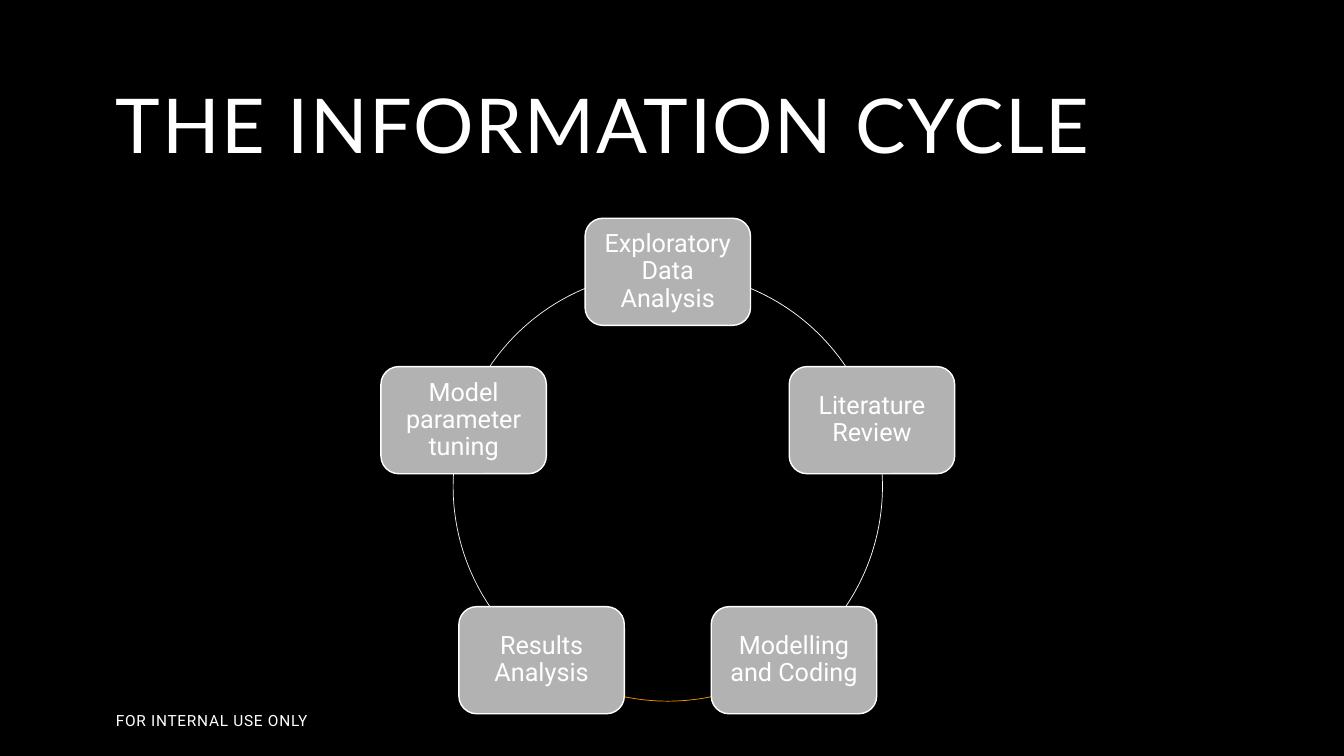
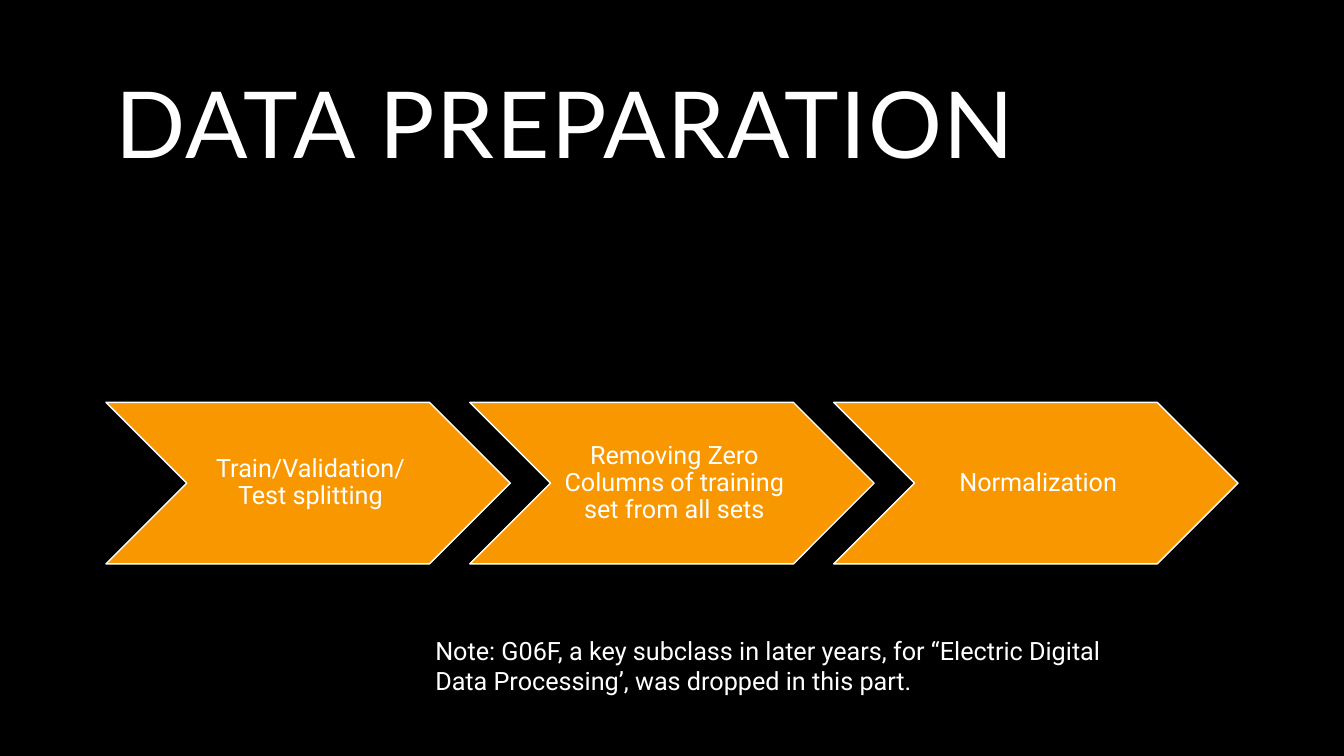
import math
from pptx import Presentation
from pptx.dml.color import RGBColor
from pptx.enum import shapes, text
from pptx.util import Cm, Pt

WHITE, BLACK, GREY, ORANGE, PALE = "FFFFFF", "000000", "B2B2B2", "F99700", "F2F2F2"
LEFT, CENTER, JUSTIFY = text.PP_ALIGN.LEFT, text.PP_ALIGN.CENTER, text.PP_ALIGN.JUSTIFY
TOP, MIDDLE = text.MSO_ANCHOR.TOP, text.MSO_ANCHOR.MIDDLE


def paint(target, color):
    if hasattr(target, "solid"):
        target.solid()
        target.fore_color.rgb = RGBColor.from_string(color)
    else:
        target.color.rgb = RGBColor.from_string(color)


def write(shape, words, size=18, font="Roboto", align=CENTER, anchor=MIDDLE,
          line_spacing=0.9, tracking=0, insets=(0.25, 0.13, 0.25, 0.13)):
    frame = shape.text_frame
    frame.word_wrap = True
    frame.vertical_anchor = anchor
    frame.margin_left, frame.margin_top, frame.margin_right, frame.margin_bottom = map(Cm, insets)
    paragraph = frame.paragraphs[0]
    paragraph.alignment = align
    paragraph.line_spacing = line_spacing
    run = paragraph.add_run()
    run.text = words
    run.font.size = Pt(size)
    run.font.name = font
    paint(run.font, WHITE)
    if tracking:
        run.font._element.set("spc", str(round(tracking * 100)))


prs = Presentation()
prs.slide_width, prs.slide_height = Cm(33.87), Cm(19.05)

pages = []
for heading, size, align in [("THE INFORMATION CYCLE", 54, JUSTIFY), ("DATA PREPARATION", 66, LEFT)]:
    page = prs.slides.add_slide(prs.slide_layouts[6])
    paint(page.background.fill, BLACK)
    title = page.shapes.add_textbox(Cm(2.67), Cm(0.89), Cm(28.52), Cm(4.72))
    write(title, heading, size=size, font="Lato", align=align, tracking=1.2)
    pages.append(page)
cycle, preparation = pages

footer = cycle.shapes.add_textbox(Cm(2.67), Cm(17.65), Cm(8.99), Cm(1.02))
write(footer, "FOR INTERNAL USE ONLY", size=11, align=LEFT, line_spacing=1, tracking=0.5)

stages = [
    ("Exploratory Data Analysis", WHITE),
    ("Literature Review", WHITE),
    ("Modelling and Coding", ORANGE),
    ("Results Analysis", PALE),
    ("Model parameter tuning", PALE),
]
center_x, center_y, radius = 16.83, 12.26, 5.41
stage_w, stage_h = 4.17, 2.7
step = 360 / len(stages)

for index, (label, arc_color) in enumerate(stages):
    start = 270 + index * step
    arc = cycle.shapes.add_shape(shapes.MSO_SHAPE.ARC, Cm(center_x - radius), Cm(center_y - radius),
                                 Cm(2 * radius), Cm(2 * radius))
    arc.shadow.inherit = False
    arc.adjustments[0] = start % 360 * 0.6
    arc.adjustments[1] = (start + step) % 360 * 0.6
    arc.fill.background()
    paint(arc.line, arc_color)
    arc.line.width = Pt(0.5)

for index, (label, arc_color) in enumerate(stages):
    angle = math.radians(270 + index * step)
    stage = cycle.shapes.add_shape(
        shapes.MSO_SHAPE.ROUNDED_RECTANGLE,
        Cm(center_x + radius * math.cos(angle) - stage_w / 2),
        Cm(center_y + radius * math.sin(angle) - stage_h / 2),
        Cm(stage_w), Cm(stage_h))
    stage.shadow.inherit = False
    paint(stage.fill, GREY)
    paint(stage.line, WHITE)
    stage.line.width = Pt(1)
    write(stage, label, insets=(0.18,) * 4)

steps = [
    "Train/Validation/Test splitting",
    "Removing Zero Columns of training set from all sets",
    "Normalization",
]
for index, label in enumerate(steps):
    chevron = preparation.shapes.add_shape(shapes.MSO_SHAPE.CHEVRON, Cm(2.67 + index * 9.17), Cm(10.14),
                                           Cm(10.19), Cm(4.07))
    chevron.shadow.inherit = False
    paint(chevron.fill, ORANGE)
    paint(chevron.line, WHITE)
    chevron.line.width = Pt(1)
    write(chevron, label, insets=(0.2, 0.08, 0.08, 0.08))

note = preparation.shapes.add_textbox(Cm(10.72), Cm(15.88), Cm(17.68), Cm(1.8))
write(note, "Note: G06F, a key subclass in later years, for “Electric Digital Data Processing’, "
            "was dropped in this part.", align=LEFT, anchor=TOP, line_spacing=1)

prs.save("out.pptx")
